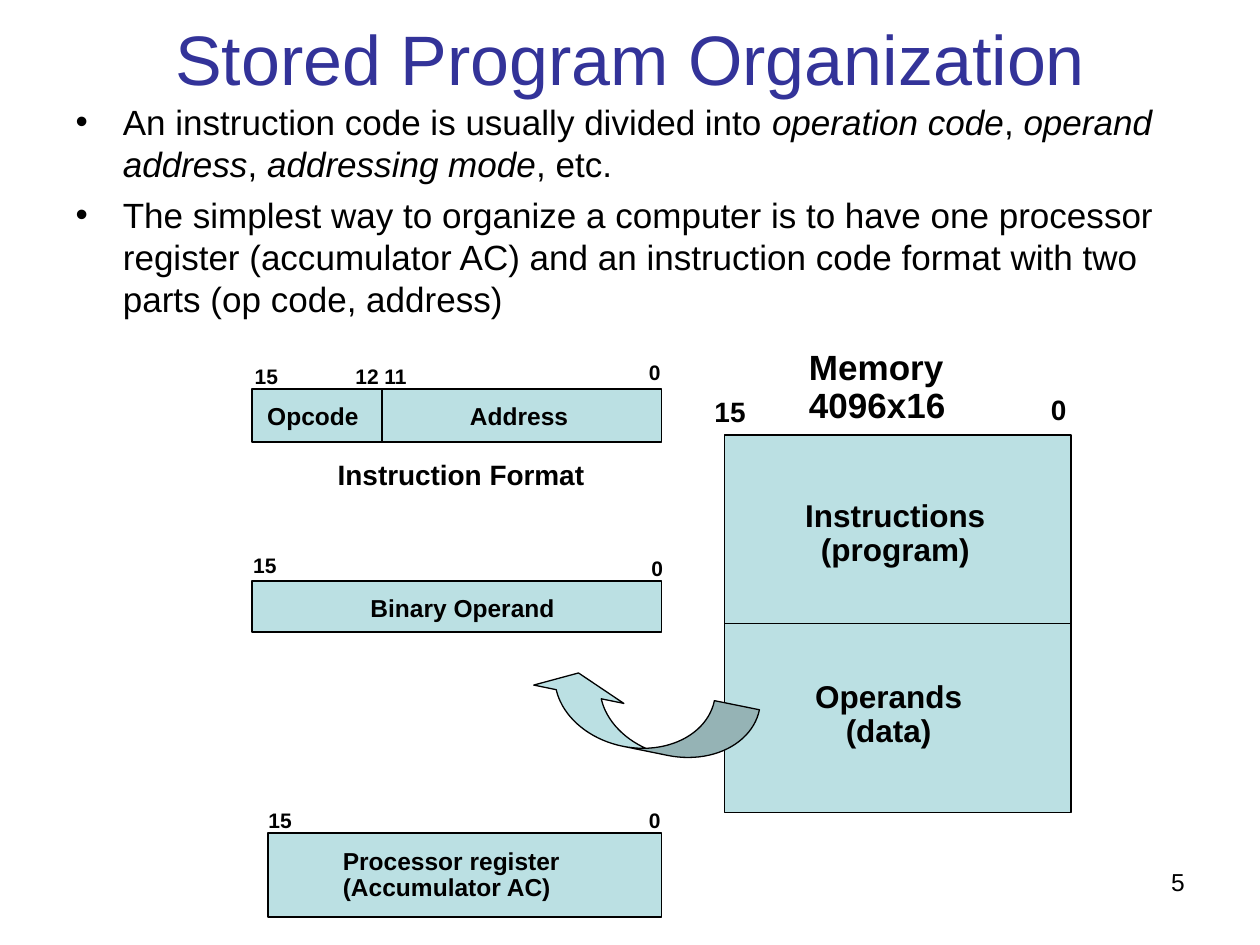
from lxml.etree import SubElement
from pptx import Presentation
from pptx.dml.color import RGBColor as Rgb
from pptx.enum.shapes import MSO_CONNECTOR as Link, MSO_SHAPE as Form
from pptx.enum.text import MSO_ANCHOR as Anchor, MSO_AUTO_SIZE as Fit, PP_ALIGN as Align
from pptx.oxml.ns import qn
from pptx.util import Pt

INK, BLUE, TEAL = "000000", "333399", "BBE0E3"

POINTS = [
    [("An instruction code is usually divided into ", False),
     ("operation code", True), (", ", False), ("operand address", True),
     (", ", False), ("addressing mode", True), (", etc.", False)],
    [("The simplest way to organize a computer is to have one processor "
      "register (accumulator AC) and an instruction code format with two "
      "parts (op code, address)", False)],
]

# text, left, top, width, height, size, alignment
LABELS = [
    ("Opcode", 146.2, 227.5, 84, 21.6, 14, Align.LEFT),
    ("Address", 262.1, 227.5, 77, 21.6, 14, Align.LEFT),
    ("Instruction Format", 186.5, 260, 192, 24, 16, Align.LEFT),
    ("Binary Operand", 205.2, 337, 174, 21.6, 14, Align.LEFT),
    ("Processor register (Accumulator AC)", 189.4, 481.7, 144, 52, 14, Align.LEFT),
    ("Memory 4096x16", 455.8, 196.6, 108, 71, 20, Align.LEFT),
    ("Instructions (program)", 448.6, 282.2, 126, 45, 18, Align.CENTER),
    ("Operands (data)", 455.8, 386, 104, 45, 18, Align.CENTER),
]

# bit number, left, top, size
BITS = [
    ("15", 139, 206, 12), ("12", 196.6, 206, 12), ("11", 213.1, 206, 12),
    ("0", 364.3, 203.8, 12),
    ("15", 138.2, 314, 12), ("0", 365.8, 315.4, 12),
    ("15", 146.9, 459.4, 12), ("0", 364.3, 459.4, 12),
    ("15", 401.8, 224.3, 16), ("0", 594, 222.8, 16),
]


def color(code):
    return Rgb.from_string(code)


def style(font, size, code=INK, bold=False):
    font.name, font.size, font.bold = "Arial", Pt(size), bold
    font.color.rgb = color(code)


def place(shape, *box):
    shape.left, shape.top, shape.width, shape.height = map(Pt, box)


def label(slide, text, box, size, align=Align.LEFT, bold=True, wrap=True):
    frame = slide.shapes.add_textbox(*map(Pt, box)).text_frame
    frame.word_wrap = wrap
    frame.margin_left = frame.margin_right = Pt(6.5 if bold else 7.2)
    frame.text = text
    para = frame.paragraphs[0]
    para.alignment = align
    para.line_spacing = 0.9 if bold else 1.0
    style(para.runs[0].font, size, bold=bold)


def block(slide, box, form=Form.RECTANGLE, width=1):
    shape = slide.shapes.add_shape(form, *map(Pt, box))
    shape.shadow.inherit = False
    shape.fill.solid()
    shape.fill.fore_color.rgb = color(TEAL)
    shape.line.color.rgb = color(INK)
    shape.line.width = Pt(width)
    return shape


def rule(slide, ends, width):
    line = slide.shapes.add_connector(Link.STRAIGHT, *map(Pt, ends))
    line.line.color.rgb = color(INK)
    line.line.width = Pt(width)
    SubElement(line._element.spPr, qn("a:effectLst"))
    return line


def title(slide):
    shape = slide.shapes.title
    place(shape, 36, -12, 648, 90)
    frame = shape.text_frame
    frame.text = "Stored Program Organization"
    frame.auto_size = Fit.NONE
    frame.vertical_anchor = Anchor.MIDDLE
    para = frame.paragraphs[0]
    para.alignment = Align.CENTER
    style(para.runs[0].font, 40, BLUE)


def body(slide):
    shape = slide.placeholders[1]
    place(shape, 36, 54, 648, 138)
    frame = shape.text_frame
    frame.auto_size = Fit.NONE
    for index, parts in enumerate(POINTS):
        para = frame.add_paragraph() if index else frame.paragraphs[0]
        props = para._p.get_or_add_pPr()
        props.set("marL", str(Pt(27)))
        props.set("indent", str(Pt(-27)))
        SubElement(props, qn("a:buChar")).set("char", "•")
        para.space_before = Pt(5 if index else 0)
        for text, slant in parts:
            run = para.add_run()
            run.text = text
            style(run.font, 20)
            run.font.italic = slant


def main():
    deck = Presentation()
    deck.slide_width, deck.slide_height = Pt(720), Pt(540)
    slide = deck.slides.add_slide(deck.slide_layouts[1])
    title(slide)
    body(slide)

    # Register, operand and instruction boxes
    block(slide, (153, 476, 225, 48))
    block(slide, (144, 332, 234, 29))
    block(slide, (144, 222.5, 234, 30))
    rule(slide, (218.25, 222.5, 218.25, 252.5), 1)

    # Memory, split in two halves
    store = block(slide, (414, 248.4, 198, 216))
    split = rule(slide, (414, 356.4, 612, 356.4), 0.75)
    split.begin_connect(store, 1)
    split.end_connect(store, 3)

    # Curved arrow from the operands
    arrow = block(slide, (347.8, 344.2, 36, 131.8), Form.CURVED_LEFT_ARROW, 0.75)
    arrow.rotation = 101.5
    for index, value in enumerate((0.73, 1.46, 0.33)):
        arrow.adjustments[index] = value

    # Names and bit numbers
    for text, left, top, width, height, size, align in LABELS:
        label(slide, text, (left, top, width, height), size, align)
    for text, left, top, size in BITS:
        width = 13 + 0.57 * size * len(text)
        label(slide, text, (left, top, width, size + 8), size, wrap=False)

    # Page number
    label(slide, "5", (516, 492, 168, 37.5), 14, Align.RIGHT, bold=False)
    deck.save("out.pptx")


if __name__ == "__main__":
    main()
